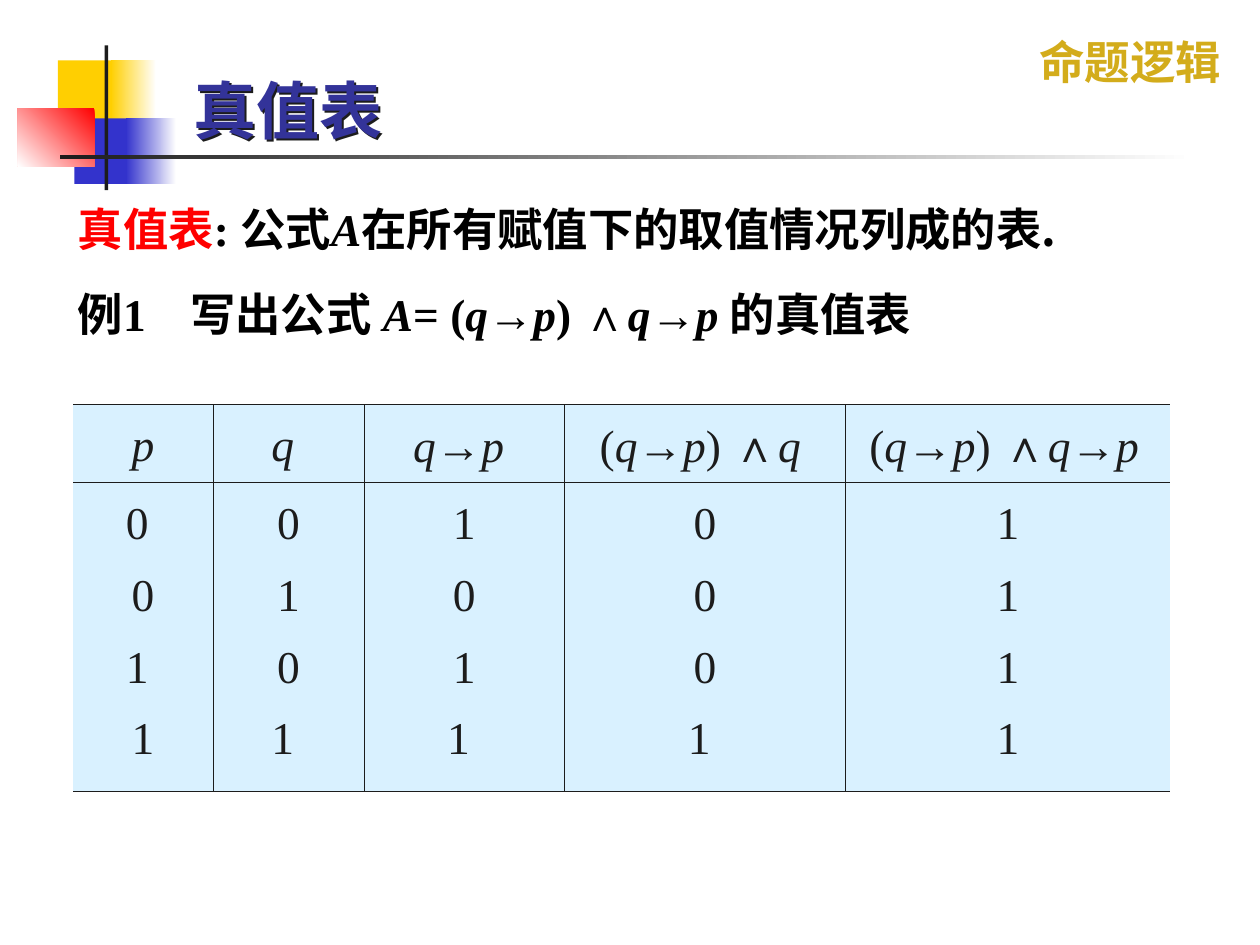
from itertools import groupby
from typing import NamedTuple

from lxml import etree
from pptx import Presentation
from pptx.dml.color import RGBColor
from pptx.enum import shapes, text
from pptx.oxml import ns
from pptx.util import Inches, Pt

CJK_FONT = "Noto Sans CJK SC"
INK = "1C1C1C"
WHITE = "FFFFFF"
PALE_BLUE = "D9F1FF"


class Block(NamedTuple):
    """A rectangle of the heading motif; a second colour makes a gradient."""
    left: float
    top: float
    width: float
    height: float
    color: str
    end_color: str = ""
    angle: int = 180


class Column(NamedTuple):
    """A truth table column; an inset sets its heading flush left."""
    width: float
    heading: str
    values: list[str]
    inset: float = 0


BLOCKS = [
    Block(0.46, 0.48, 0.48, 0.52, "FFCF01"),
    Block(0.88, 0.48, 0.36, 0.52, WHITE, "FFCF01"),
    Block(0.59, 0.94, 0.46, 0.52, "3333CC"),
    Block(1, 0.94, 0.4, 0.52, WHITE, "3333CC"),
    Block(0.14, 0.86, 0.61, 0.46, "FF0000", WHITE, 225),
    Block(0.83, 0.36, 0.03, 1.15, INK),
    Block(0.48, 1.23, 9, 0.03, WHITE, INK),
]

COLUMNS = [
    Column(1.11, "p", ["0 ", "0", "1 ", "1"]),
    Column(1.2, "q ", ["0", "1", "0", "1 "]),
    Column(1.59, "q→p ", ["1", "0", "1", "1 "]),
    Column(2.23, "(q→p) ∧q", ["0", "0", "0", "1 "], 0.28),
    Column(2.58, "(q→p) ∧q→p", ["1", "1", "1", "1"], 0.19),
]
ROW_HEIGHTS = [0.62, 2.45]


def rgb(color: str) -> RGBColor:
    return RGBColor.from_string(color)


def character_style(character: str) -> tuple[str, bool]:
    """Font and italic flag: variables are italic, operators are Arial."""
    if character in "→∧":
        return "Arial", False
    if character >= "一" or character == ".":
        return CJK_FONT, False
    return "Times New Roman", character in "pqA"


def add_text(paragraph, content: str, *, size: float, color: str = INK,
             bold: bool = False, font: str = "") -> None:
    for (face, italic), characters in groupby(content, character_style):
        run = paragraph.add_run()
        run.text = "".join(characters)
        run.font.size = Pt(size)
        run.font.bold = bold
        run.font.italic = italic
        run.font.color.rgb = rgb(color)
        run.font.name = font or face
        latin = run.font._element.find(ns.qn("a:latin"))
        latin.addnext(etree.Element(ns.qn("a:ea"), typeface=face))


def add_text_box(slide, left: float, top: float, width: float, height: float):
    box = slide.shapes.add_textbox(Inches(left), Inches(top),
                                   Inches(width), Inches(height))
    box.text_frame.word_wrap = True
    return box


def add_shadow(shape) -> None:
    effects = etree.SubElement(shape._element.spPr, ns.qn("a:effectLst"))
    outer = etree.SubElement(effects, ns.qn("a:outerShdw"),
                             dist=str(Pt(1.5)), dir="2700000")
    etree.SubElement(outer, ns.qn("a:srgbClr"), val=INK)


def add_block(slide, block: Block) -> None:
    shape = slide.shapes.add_shape(
        shapes.MSO_SHAPE.RECTANGLE, Inches(block.left), Inches(block.top),
        Inches(block.width), Inches(block.height))
    shape.shadow.inherit = False
    shape.line.fill.background()
    if not block.end_color:
        shape.fill.solid()
        shape.fill.fore_color.rgb = rgb(block.color)
        return
    shape.fill.gradient()
    shape.fill.gradient_angle = block.angle
    for stop, color, position in zip(shape.fill.gradient_stops,
                                     (block.color, block.end_color), (0, 1)):
        stop.color.rgb = rgb(color)
        stop.position = position


def set_borders(cell, visible: dict[str, bool]) -> None:
    properties = cell._tc.get_or_add_tcPr()
    for index, (side, shown) in enumerate(visible.items()):
        line = etree.Element(ns.qn(f"a:ln{side}"), w=str(Pt(0.45)))
        if shown:
            fill = etree.SubElement(line, ns.qn("a:solidFill"))
            etree.SubElement(fill, ns.qn("a:srgbClr"), val=INK)
        else:
            etree.SubElement(line, ns.qn("a:noFill"))
        properties.insert(index, line)


def fill_cell(cell, lines: list[str], inset: float = 0) -> None:
    cell.fill.solid()
    cell.fill.fore_color.rgb = rgb(PALE_BLUE)
    if inset:
        cell.margin_left = Inches(inset)
    for index, line in enumerate(lines):
        frame = cell.text_frame
        paragraph = frame.add_paragraph() if index else frame.paragraphs[0]
        paragraph.alignment = (text.PP_ALIGN.LEFT if inset
                               else text.PP_ALIGN.CENTER)
        paragraph.line_spacing = 1.2
        if index:
            paragraph.space_before = Pt(6.5)
        add_text(paragraph, line, size=26)


def add_truth_table(slide, left: float, top: float) -> None:
    width = sum(column.width for column in COLUMNS)
    table = slide.shapes.add_table(
        len(ROW_HEIGHTS), len(COLUMNS), Inches(left), Inches(top),
        Inches(width), Inches(sum(ROW_HEIGHTS))).table
    table.first_row = False
    table.horz_banding = False
    for row, height in zip(table.rows, ROW_HEIGHTS):
        row.height = Inches(height)
    last = len(COLUMNS) - 1
    for index, column in enumerate(COLUMNS):
        table.columns[index].width = Inches(column.width)
        fill_cell(table.cell(0, index), [column.heading], column.inset)
        fill_cell(table.cell(1, index), column.values)
        for row_index in range(len(ROW_HEIGHTS)):
            set_borders(table.cell(row_index, index),
                        {"L": index > 0, "R": index < last,
                         "T": True, "B": True})


def main() -> None:
    presentation = Presentation()
    presentation.slide_width = Inches(10)
    presentation.slide_height = Inches(7.5)
    slide = presentation.slides.add_slide(presentation.slide_layouts[6])

    # Heading motif, chapter label and title
    for block in BLOCKS:
        add_block(slide, block)
    label = add_text_box(slide, 8.15, 0.22, 1.8, 0.54).text_frame
    add_text(label.paragraphs[0], "命题逻辑", size=26, color="D3AC1B",
             bold=True, font="Cabin")
    title = add_text_box(slide, 1.44, 0.21, 8.5, 1.01)
    add_shadow(title)
    title.text_frame.vertical_anchor = text.MSO_ANCHOR.BOTTOM
    add_text(title.text_frame.paragraphs[0], "真值表", size=36,
             color="333399", bold=True)

    # Definition and example
    body = add_text_box(slide, 0.52, 1.55, 8.66, 1.42).text_frame
    definition, example = body.paragraphs[0], body.add_paragraph()
    for paragraph in (definition, example):
        paragraph.line_spacing = 1.0
    example.space_before = Pt(17.5)
    tabs = etree.SubElement(example._p.get_or_add_pPr(), ns.qn("a:tabLst"))
    etree.SubElement(tabs, ns.qn("a:tab"), pos=str(Inches(0.89)), algn="l")
    body_format = {"size": 25.9, "bold": True}
    add_text(definition, "真值表", color="FF0000", **body_format)
    add_text(definition, ": 公式A在所有赋值下的取值情况列成的表.",
             color="000000", **body_format)
    add_text(example, "例1\t写出公式 A= (q→p) ∧q→p 的真值表",
             color="000000", **body_format)

    # Truth table
    add_truth_table(slide, 0.58, 3.21)
    presentation.save("out.pptx")


if __name__ == "__main__":
    main()
